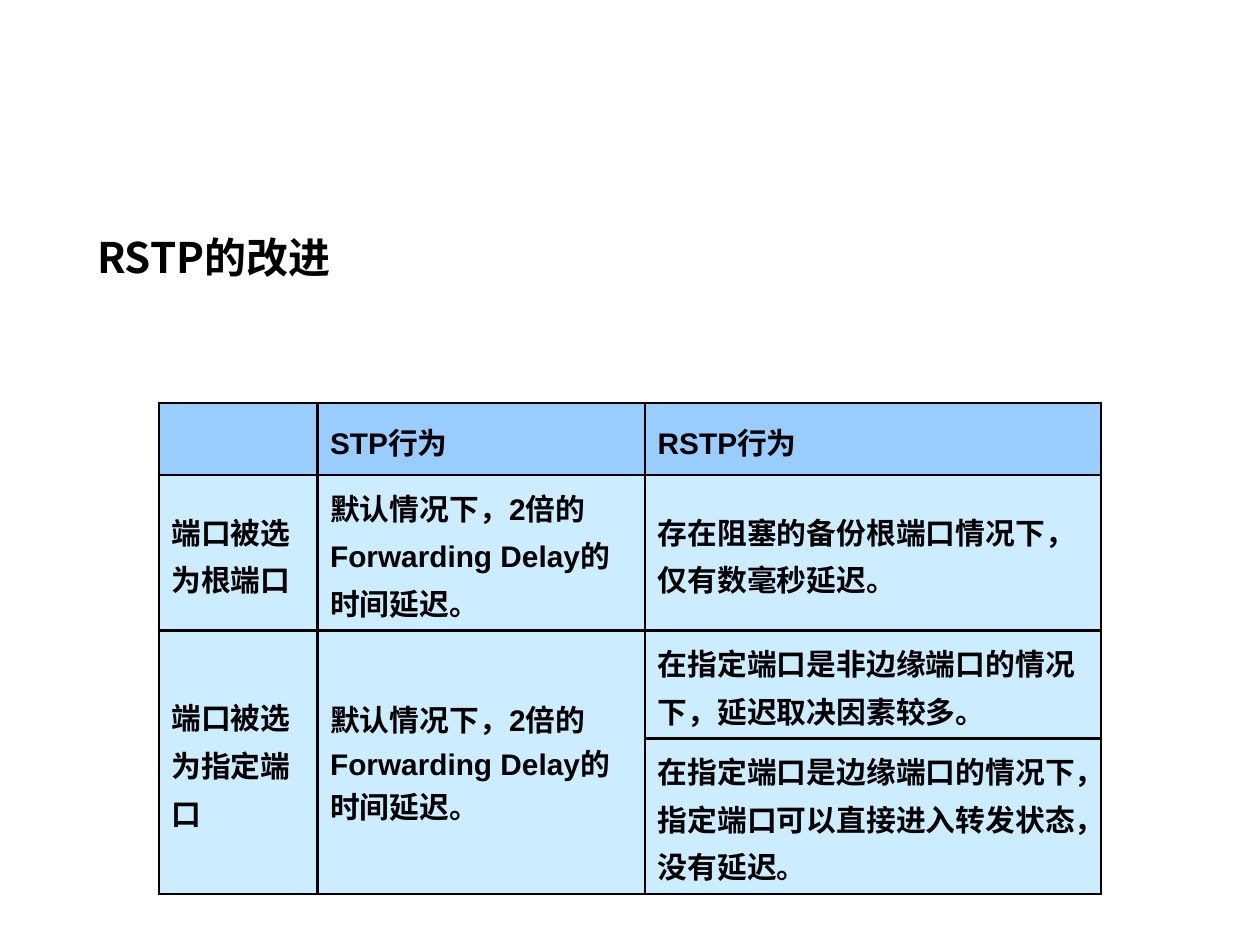
from lxml import etree
from pptx import Presentation
from pptx import util as u
from pptx.dml.color import RGBColor
from pptx.enum import text
from pptx.oxml.ns import qn

COLORS = {"ink": "000000", "header": "99CCFF", "body": "CCECFF"}
CJK_FONT = "Noto Sans CJK JP"
TITLE_FONT = {"name": CJK_FONT, "size": u.Pt(24), "bold": True}
CELL_FONT = {"name": "Arial", "size": u.Pt(17), "bold": True}

DELAY = "默认情况下，2倍的Forwarding Delay的时间延迟。"
ROWS = [
    ["", "STP行为", "RSTP行为"],
    ["端口被选为根端口", DELAY, "存在阻塞的备份根端口情况下，仅有数毫秒延迟。"],
    ["端口被选为指定端口", DELAY, "在指定端口是非边缘端口的情况下，延迟取决因素较多。"],
    ["", "", "在指定端口是边缘端口的情况下，指定端口可以直接进入转发状态，没有延迟。"],
]
COLUMN_WIDTHS = [1.26, 2.6, 3.62]
ROW_HEIGHTS = [0.57, 1.04, 0.73, 1.04]


class SlideBuilder:
    def __init__(self, slide):
        self.slide = slide

    def add_words(self, paragraph, content, font):
        paragraph.alignment = text.PP_ALIGN.LEFT
        run = paragraph.add_run()
        run.text = content
        for name, value in font.items():
            setattr(run.font, name, value)
        run.font.color.rgb = RGBColor.from_string(COLORS["ink"])
        properties = run._r.get_or_add_rPr()
        etree.SubElement(properties, qn("a:ea"), typeface=CJK_FONT)

    def title(self, content, left, top, width, height):
        shape = self.slide.shapes.title
        box = {"left": left, "top": top, "width": width, "height": height}
        for name, value in box.items():
            setattr(shape, name, u.Inches(value))
        shape.text_frame.vertical_anchor = text.MSO_ANCHOR.MIDDLE
        self.add_words(shape.text_frame.paragraphs[0], content, TITLE_FONT)

    def borders(self, cell):
        properties = cell._tc.get_or_add_tcPr()
        for index, side in enumerate(("lnL", "lnR", "lnT", "lnB")):
            line = etree.Element(qn(f"a:{side}"), w=str(u.Pt(1.5)))
            fill = etree.SubElement(line, qn("a:solidFill"))
            etree.SubElement(fill, qn("a:srgbClr"), val=COLORS["ink"])
            properties.insert(index, line)

    def cell(self, cell, content, color):
        cell.fill.solid()
        cell.fill.fore_color.rgb = RGBColor.from_string(COLORS[color])
        cell.vertical_anchor = text.MSO_ANCHOR.MIDDLE
        self.borders(cell)
        if content:
            paragraph = cell.text_frame.paragraphs[0]
            paragraph.line_spacing = 1.1
            self.add_words(paragraph, content, CELL_FONT)

    def table(self, rows, left, top, widths, heights):
        frame = self.slide.shapes.add_table(
            len(rows), len(widths), u.Inches(left), u.Inches(top),
            u.Inches(sum(widths)), u.Inches(sum(heights)))
        table = frame.table
        table.horz_banding = False
        for column, width in zip(table.columns, widths):
            column.width = u.Inches(width)
        for row, height in zip(table.rows, heights):
            row.height = u.Inches(height)
        for r, contents in enumerate(rows):
            for c, content in enumerate(contents):
                self.cell(table.cell(r, c), content, "body" if r else "header")
        return table


def main():
    presentation = Presentation()
    presentation.slide_width = u.Inches(10)
    presentation.slide_height = u.Inches(7.5)
    builder = SlideBuilder(presentation.slides.add_slide(presentation.slide_layouts[5]))

    # Title
    builder.title("RSTP的改进", 0.67, 1.7, 7.92, 0.67)

    # Comparison table; the designated port row spans two RSTP cases
    table = builder.table(ROWS, 1.26, 3.2, COLUMN_WIDTHS, ROW_HEIGHTS)
    for column in range(2):
        table.cell(2, column).merge(table.cell(3, column))
    table.cell(2, 1).text_frame.paragraphs[0].line_spacing = 1.0

    presentation.save("out.pptx")


if __name__ == "__main__":
    main()
